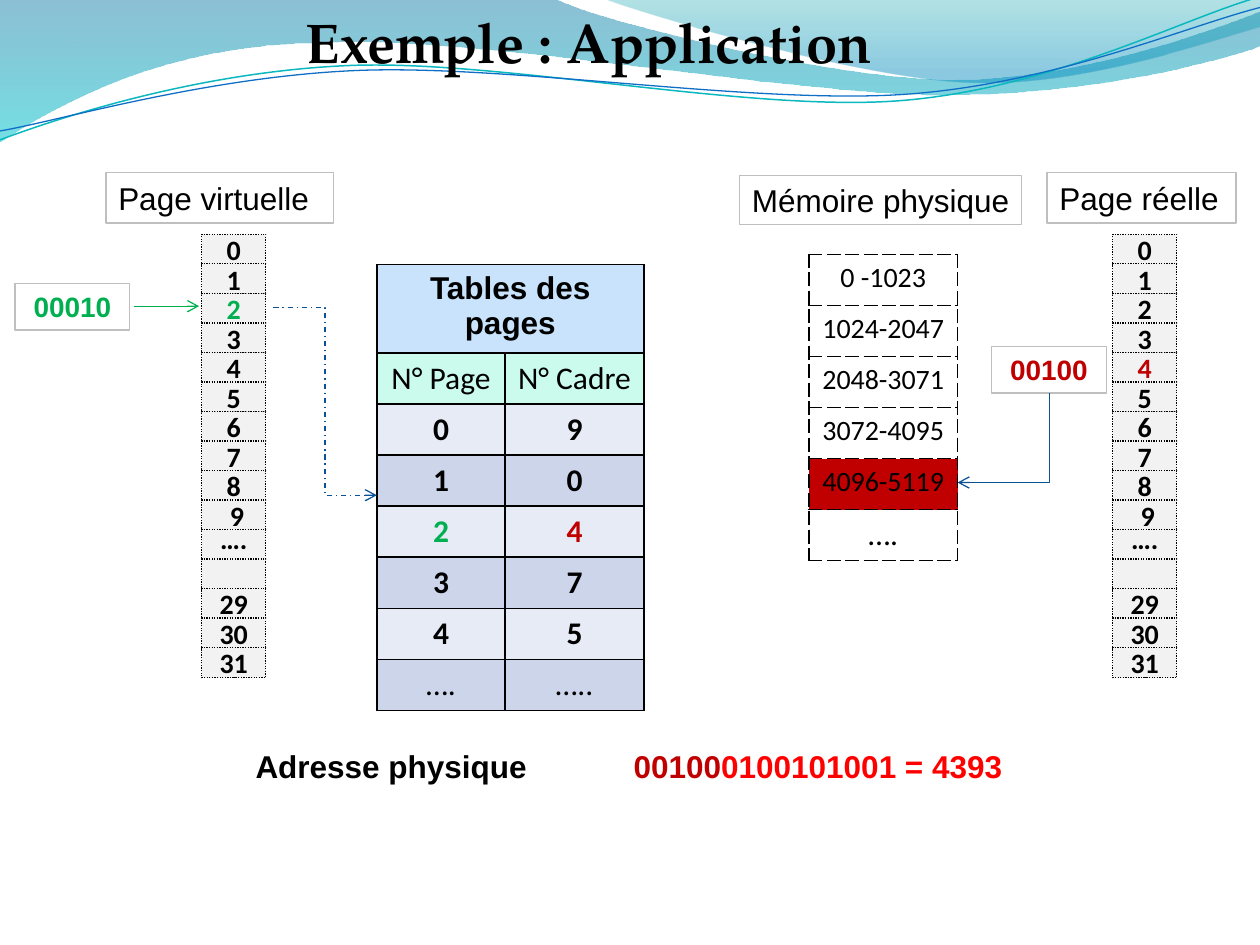
from math import cos, radians, sin

from pptx import Presentation
from pptx.dml.color import RGBColor
from pptx.enum.dml import MSO_LINE
from pptx.enum.shapes import MSO_CONNECTOR, MSO_SHAPE
from pptx.enum.text import MSO_ANCHOR, MSO_AUTO_SIZE, PP_ALIGN
from pptx.oxml import parse_xml
from pptx.oxml.ns import nsdecls, qn
from pptx.util import Inches, Pt
from lxml.etree import SubElement

COLORS = {
    "black": "000000", "green": "00B050", "red": "C00000", "bright": "FF0000",
    "cell": "F2F2F2", "frame": "BFBFBF", "arrow": "095295",
    "head": "C8E3FB", "subhead": "CAFBED", "light": "E7EBF5", "dark": "CCD5EA",
    "teal": "0AB8BF", "blue": "0F6FC6",
    "wave1": "0074A1", "wave2": "00C6CF", "wave3": "00A1A9", "wave4": "008BBF",
}


def rgb(name):
    return RGBColor.from_string(COLORS[name])


def style_run(r, size, font="Arial", color="black", bold=False):
    r.font.size = Pt(size)
    r.font.name = font
    r.font.bold = bold
    r.font.color.rgb = rgb(color)


def style_line(line, color, width=0.75, dash=None):
    line.color.rgb = rgb(color)
    line.width = Pt(width)
    if dash:
        line.dash_style = dash


def add_wave(slide, start, segments):
    """Outline of straight (one point) and cubic (three points) segments."""
    builder = slide.shapes.build_freeform(Inches(start[0]), Inches(start[1]))
    builder.add_line_segments([(Inches(x), Inches(y)) for seg in segments for x, y in seg],
                              close=segments[-1][-1] == start)
    sp = builder.convert_to_shape()
    sp.shadow.inherit = False
    # Turn each run of three points into one Bézier curve
    steps = list(sp._element.spPr.iter(qn("a:lnTo")))
    for seg in segments:
        group, steps = steps[:len(seg)], steps[len(seg):]
        if len(seg) == 3:
            curve = parse_xml(f'<a:cubicBezTo {nsdecls("a")}/>')
            group[0].addprevious(curve)
            for step in group:
                curve.append(step[0])
                step.getparent().remove(step)
    return sp


def add_wave_fill(slide, start, segments, stops):
    sp = add_wave(slide, start, segments)
    sp.line.fill.background()
    sp.fill.gradient()
    sp.fill.gradient_angle = 270
    for stop, (pos, color, _) in zip(sp.fill.gradient_stops, stops):
        stop.position = pos
        stop.color.rgb = rgb(color)
    for clr, (_, _, opacity) in zip(sp._element.spPr.iter(qn("a:srgbClr")), stops):
        SubElement(clr, qn("a:alpha")).set("val", str(opacity * 1000))


def add_wave_line(slide, start, segments, color, width, center, tilt=-2.7):
    """Level the points around the center, then tilt the whole shape."""
    c, s = cos(radians(-tilt)), sin(radians(-tilt))

    def level(point):
        dx, dy = point[0] - center[0], point[1] - center[1]
        return center[0] + dx * c - dy * s, center[1] + dx * s + dy * c

    sp = add_wave(slide, level(start), [[level(pt) for pt in seg] for seg in segments])
    sp.rotation = tilt
    sp.fill.background()
    style_line(sp.line, color, width)


def add_waves(slide):
    add_wave_fill(slide, (0, -0.01), [
        [(4.4, -0.01)],
        [(4.76, 0.17), (6.64, 0.63), (7.58, 0.63)],
        [(8.53, 0.63), (9.58, 0.26), (10, 0.09)],
        [(10.01, 0.36)],
        [(9.83, 0.44), (8.7, 0.76), (7.46, 0.75)],
        [(6.22, 0.75), (3.82, 0.28), (2.57, 0.34)],
        [(1.29, 0.35), (0.46, 0.83), (-0.01, 1.13)],
        [(0, -0.01)],
    ], [(0, "wave1", 45), (1, "wave2", 55)])
    add_wave_fill(slide, (4.79, -0.01), [
        [(5.09, 0.11), (6.82, 0.62), (7.69, 0.65)],
        [(8.56, 0.69), (9.61, 0.32), (10, 0.21)],
        [(10, 0)],
        [(4.79, -0.01)],
    ], [(0, "wave3", 30), (0.8, "wave4", 45)])
    add_wave_line(slide, (0, 1.11), [
        [(0.48, 0.93), (1.58, 0.57), (2.77, 0.52)],
        [(3.95, 0.47), (5.93, 0.89), (7.13, 0.8)],
        [(8.33, 0.71), (9.38, 0.15), (9.98, -0.02)],
    ], "teal", 0.85, (4.99, 0.57))
    add_wave_line(slide, (0, 1.04), [
        [(0.47, 0.96), (1.64, 0.61), (2.83, 0.56)],
        [(4.03, 0.51), (5.97, 0.83), (7.17, 0.75)],
        [(8.36, 0.67), (9.41, 0.21), (10, 0.06)],
    ], "blue", 0.75, (5, 0.59))


def add_title(slide, text):
    title = slide.shapes.title
    title.left, title.top = Inches(2.26), Inches(-0.03)
    title.width, title.height = Inches(4.83), Inches(0.68)
    tf = title.text_frame
    tf.text = text
    tf.word_wrap = False
    tf.auto_size = MSO_AUTO_SIZE.NONE
    tf.vertical_anchor = MSO_ANCHOR.TOP
    p = tf.paragraphs[0]
    p.alignment = PP_ALIGN.CENTER
    p.line_spacing = Pt(41)
    p.space_before = p.space_after = Pt(6)
    style_run(p.runs[0], 32, "TeX Gyre Pagella", bold=True)
    slide.shapes._spTree.append(title._element)  # in front of the waves


def add_rect(slide, x, y, w, h, text, line, dash=None):
    sp = slide.shapes.add_shape(MSO_SHAPE.RECTANGLE, Inches(x), Inches(y),
                                Inches(w), Inches(h))
    sp.shadow.inherit = False
    sp.fill.background()
    style_line(sp.line, line, dash=dash)
    sp.text_frame.text = text
    sp.text_frame.word_wrap = True
    return sp


def add_label(slide, x, y, w, h, text):
    tf = add_rect(slide, x, y, w, h, text, "frame").text_frame
    tf.vertical_anchor = MSO_ANCHOR.TOP
    tf.margin_right = 0
    tf.paragraphs[0].alignment = PP_ALIGN.LEFT
    style_run(tf.paragraphs[0].runs[0], 18)


def add_code(slide, x, y, text, color):
    tf = add_rect(slide, x, y, 0.91, 0.37, text, "frame").text_frame
    tf.vertical_anchor = MSO_ANCHOR.TOP
    p = tf.paragraphs[0]
    p.alignment = PP_ALIGN.CENTER
    p.space_before = p.space_after = Pt(6)
    style_run(p.runs[0], 16, color=color, bold=True)


def add_pages(slide, x, marked, color):
    pages = ["0", "1", "2", "3", "4", "5", "6", "7", "8", " 9", "….", "", "29", "30", "31"]
    step = (5.14 - 1.86) / (len(pages) - 1)
    for i, page in enumerate(pages):
        sp = add_rect(slide, x, 1.86 + i * step, 0.51, 0.24, page, "black", MSO_LINE.ROUND_DOT)
        sp.fill.solid()
        sp.fill.fore_color.rgb = rgb("cell")
        sp.text_frame.vertical_anchor = MSO_ANCHOR.MIDDLE
        p = sp.text_frame.paragraphs[0]
        p.alignment = PP_ALIGN.CENTER
        if page == "….":
            p.line_spacing = 0.5
        for r in p.runs:
            style_run(r, 16, "Calibri", color if page == marked else "black", True)


def add_grid(slide, x, y, widths, height, rows):
    table = slide.shapes.add_table(len(rows), len(widths), Inches(x), Inches(y),
                                   Inches(sum(widths)), Inches(height)).table
    table.first_row = table.horz_banding = False
    for col, width in zip(table.columns, widths):
        col.width = Inches(width)
    return table


def fill_cell(cell, text, fill, width, dash, **font):
    tcPr = cell._tc.get_or_add_tcPr()
    for side in "LRTB":
        tcPr.append(parse_xml(
            f'<a:ln{side} {nsdecls("a")} w="{Pt(width)}"><a:solidFill><a:srgbClr '
            f'val="{COLORS["black"]}"/></a:solidFill><a:prstDash val="{dash}"/></a:ln{side}>'))
    if fill:
        cell.fill.solid()
        cell.fill.fore_color.rgb = rgb(fill)
    else:
        cell.fill.background()
    p = cell.text_frame.paragraphs[0]
    p.text = text
    p.alignment = PP_ALIGN.CENTER
    for r in p.runs:
        style_run(r, **font)


def add_page_table(slide):
    rows = [("Tables des pages", ""), ("N° Page", "N° Cadre"), ("0", "9"), ("1", "0"),
            ("2", "4"), ("3", "7"), ("4", "5"), ("….", "…..")]
    table = add_grid(slide, 2.99, 2.1, [1.02, 1.1], 3.24, rows)
    head = table.cell(0, 0)
    head.merge(table.cell(0, 1))
    head.margin_bottom = Inches(0.09)
    for i, row in enumerate(rows):
        fill = ("head", "subhead")[i] if i < 2 else ("light", "dark")[i % 2]
        colors = ("green", "red") if row[0] == "2" else ("black", "black")
        for j, text in enumerate(row):
            fill_cell(table.cell(i, j), text, fill, 1, "solid", size=18,
                      font="Calibri" if i else "Arial", color=colors[j],
                      bold=i not in (1, len(rows) - 1))


def add_memory_table(slide):
    rows = ["0 -1023", "1024-2047", "2048-3071", "3072-4095", "4096-5119", "…."]
    table = add_grid(slide, 6.42, 2.02, [1.18], 2.43, rows)
    for i, text in enumerate(rows):
        fill_cell(table.cell(i, 0), text, "red" if text == "4096-5119" else None, 0.75,
                  "sysDash", size=18 if text == "…." else 16, font="Calibri")


def add_arrow(slide, kind, x1, y1, x2, y2, color, dash=None):
    line = slide.shapes.add_connector(kind, Inches(x1), Inches(y1), Inches(x2), Inches(y2))
    style_line(line.line, color, dash=dash)
    SubElement(line.line._get_or_add_ln(), qn("a:tailEnd")).set("type", "arrow")
    SubElement(line._element.spPr, qn("a:effectLst"))
    return line


def add_address(slide):
    tf = slide.shapes.add_textbox(Inches(1.93), Inches(5.88), Inches(6.46), Inches(0.4)).text_frame
    tf.word_wrap = True
    p = tf.paragraphs[0]
    p._p.get_or_add_pPr().append(parse_xml(
        f'<a:tabLst {nsdecls("a")}><a:tab pos="{Inches(3)}" algn="l"/></a:tabLst>'))
    for text, color in [("Adresse physique\t", "black"), ("00100", "red"),
                        ("0100101001 = 4393", "bright")]:
        r = p.add_run()
        r.text = text
        style_run(r, 18, color=color, bold=True)


def main():
    prs = Presentation()
    prs.slide_width, prs.slide_height = Inches(10), Inches(7.5)
    slide = prs.slides.add_slide(prs.slide_layouts[5])
    add_waves(slide)
    add_title(slide, "Exemple : Application")

    # Virtual side and page table
    add_pages(slide, 1.6, "2", "green")
    add_label(slide, 0.84, 1.37, 1.81, 0.4, "Page virtuelle")
    add_page_table(slide)
    add_code(slide, 0.12, 2.25, "00010", "green")
    add_arrow(slide, MSO_CONNECTOR.STRAIGHT, 1.06, 2.43, 1.58, 2.43, "green")
    add_arrow(slide, MSO_CONNECTOR.ELBOW, 2.17, 2.44, 2.99, 3.93, "arrow", MSO_LINE.DASH_DOT)

    # Physical side
    add_code(slide, 7.87, 2.75, "00100", "red")
    add_memory_table(slide)
    add_label(slide, 5.87, 1.39, 2.24, 0.39, "Mémoire physique")
    add_pages(slide, 8.83, "4", "red")
    add_label(slide, 8.31, 1.37, 1.5, 0.4, "Page réelle")
    add_address(slide)

    # Single-bend arrow: down, then left
    bend = add_arrow(slide, MSO_CONNECTOR.ELBOW, 7.61, 3.11, 8.32, 3.84, "arrow")
    bend._element.spPr.find(qn("a:prstGeom")).set("prst", "bentConnector2")
    bend._element.spPr.find(qn("a:xfrm")).set("rot", str(90 * 60000))

    prs.save("out.pptx")


if __name__ == "__main__":
    main()
